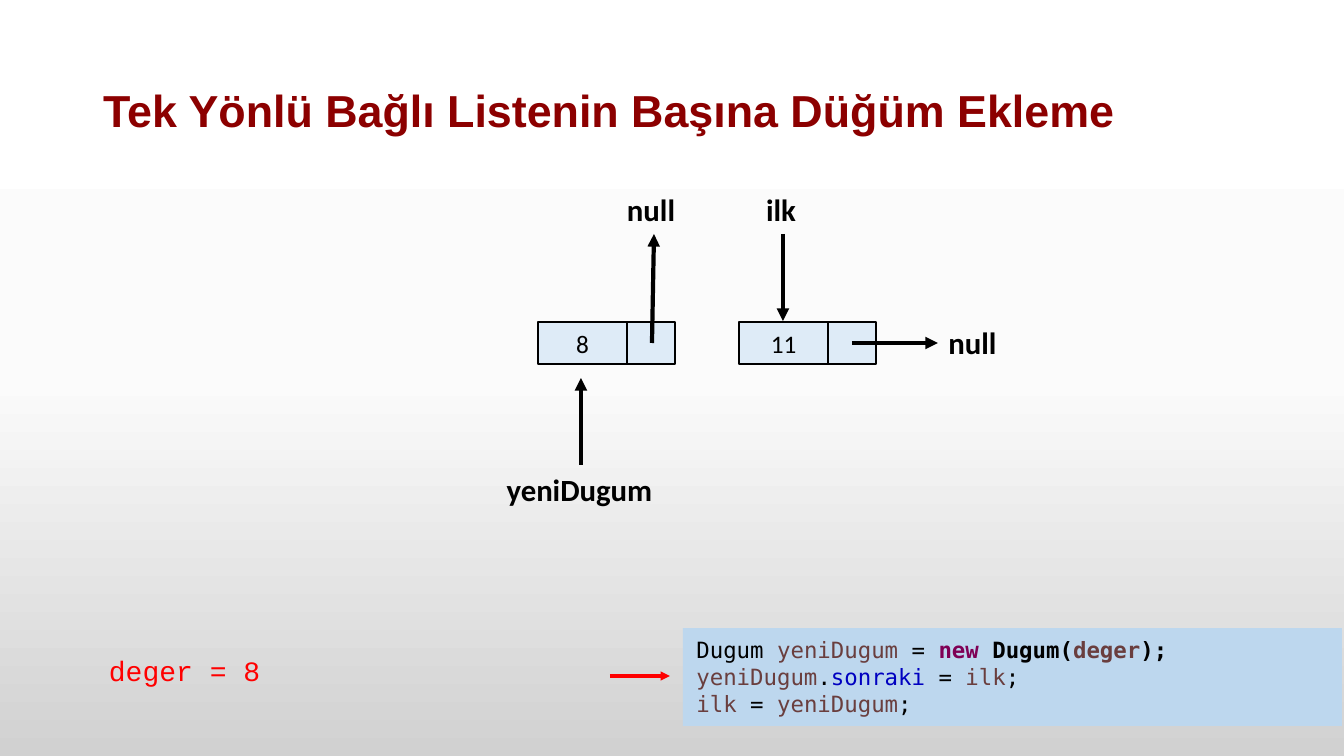
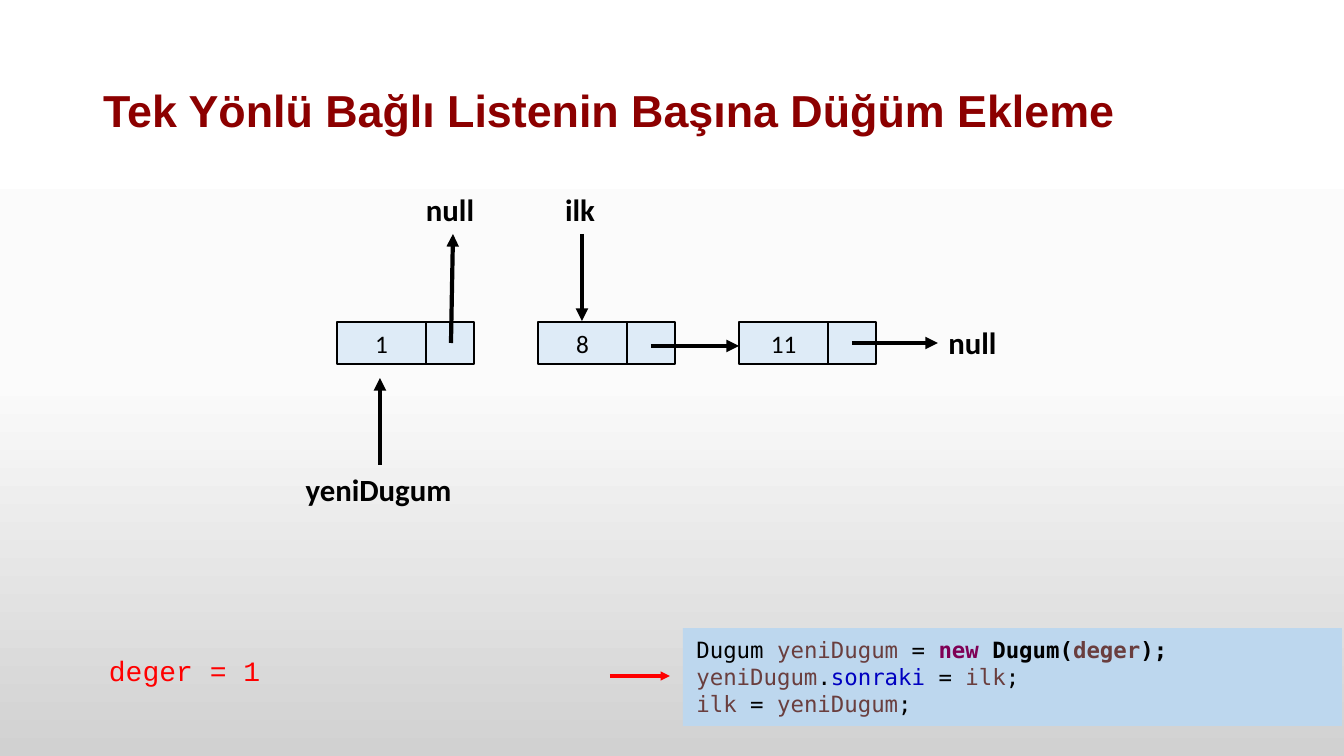
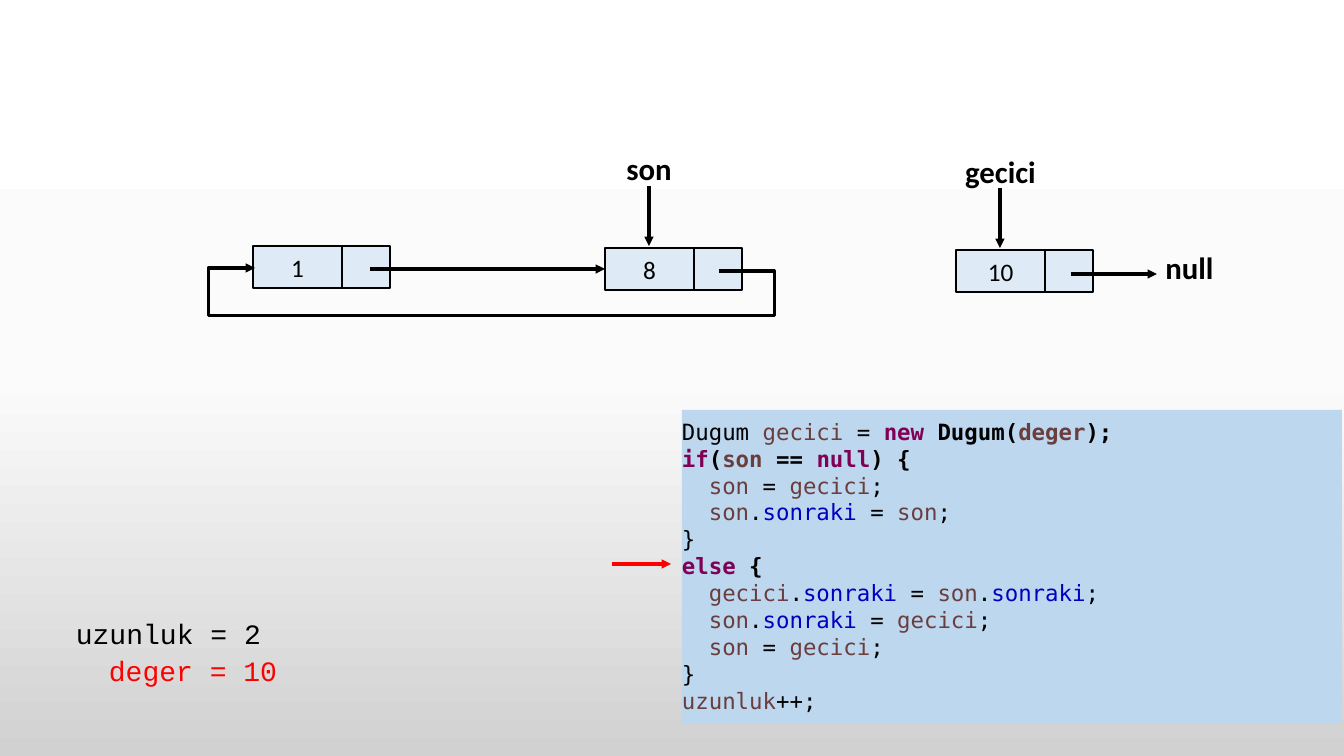
import copy
import itertools

import lxml.etree
import pptx
import pptx.dml.color
import pptx.enum.shapes
import pptx.enum.text
import pptx.oxml.ns
import pptx.util

SCALE = 914400 / 100.8  # EMU in one px
BLACK, RED, MAROON = "000000", "FF0000", "8C0000"
PALE, SKY = "DEEBF7", "BDD7EE"
WORD, FIELD, NAME = "7F0055", "0000C0", "6A3E3E"
TINTS = {"new": WORD, "if": WORD, "else": WORD, "null": WORD,
         "sonraki": FIELD, "Dugum": BLACK}
LABEL = dict(size=22, bold=True, align="CENTER")
VALUE = dict(size=20, font="Courier New", color=RED)
CODE = dict(size=16, font="DejaVu Sans Mono", fill=SKY, code=True)
CELL = dict(fill=PALE, edge=BLACK, anchor="MIDDLE", align="CENTER")

qn = pptx.oxml.ns.qn
hue = pptx.dml.color.RGBColor.from_string


def put(slide, text, spot, size=18, font="Calibri", color=BLACK, bold=False,
        align="LEFT", anchor="TOP", fill=None, edge=None, code=False,
        shape=None, space=None):
    """Write text in a box at spot (left, top, width, height)."""
    area = [int(v * SCALE) for v in spot]
    if shape:
        shape.left, shape.top, shape.width, shape.height = area
    elif fill:
        shape = slide.shapes.add_shape(
            pptx.enum.shapes.MSO_SHAPE.RECTANGLE, *area)
        shape.shadow.inherit = False
        shape.fill.solid()
        shape.fill.fore_color.rgb = hue(fill)
        if edge:
            shape.line.color.rgb = hue(edge)
            shape.line.width = pptx.util.Pt(1)
        else:
            shape.line.fill.background()
    else:
        shape = slide.shapes.add_textbox(*area)
    frame = shape.text_frame
    frame.word_wrap = bool(fill) or shape.is_placeholder
    frame.vertical_anchor = getattr(pptx.enum.text.MSO_ANCHOR, anchor)
    if code:
        frame.margin_left = frame.margin_right = 0
        frame.margin_top = frame.margin_bottom = int(8 * SCALE)
    for i, line in enumerate(text.split("\n")):
        para = frame.add_paragraph() if i else frame.paragraphs[0]
        para.alignment = getattr(pptx.enum.text.PP_ALIGN, align)
        if space:
            para.line_spacing = space
        parts = [line] if line else []
        if code:
            parts = ["".join(g) for _, g in itertools.groupby(line, str.isalpha)]
        heavy = bold
        for part in parts:
            run = para.add_run()
            run.text = part
            tint = color
            if code and part.isalpha():
                tint = TINTS.get(part, NAME)
            # A keyword makes the rest of its code line bold
            heavy = heavy or tint == WORD
            run.font.name = font
            run.font.size = pptx.util.Pt(size)
            run.font.bold = heavy
            run.font.color.rgb = hue(tint)


def link(slide, ends, width, color=BLACK):
    """Draw an arrow along ends (x1, y1, x2, y2)."""
    wire = slide.shapes.add_connector(
        pptx.enum.shapes.MSO_CONNECTOR.STRAIGHT, *[int(v * SCALE) for v in ends])
    wire.line.color.rgb = hue(color)
    wire.line.width = pptx.util.Pt(width)
    props = wire.element.spPr
    lxml.etree.SubElement(props.find(qn("a:ln")), qn("a:tailEnd"), type="triangle")
    lxml.etree.SubElement(props, qn("a:effectLst"))
    return wire


deck = pptx.Presentation()
deck.slide_width = int(1344 * SCALE)
deck.slide_height = int(756 * SCALE)

# Shared background: three grey stops from top to bottom
back = deck.slide_master.background.fill
back.gradient()
back.gradient_angle = 270
stops = deck.slide_master.element.find(".//" + qn("a:gsLst"))
stops.insert(1, copy.deepcopy(stops[0]))
for stop, shade, place in zip(back.gradient_stops,
                              ["FFFFFF", "FBFBFB", "D1D1D1"], [0, 0.5, 1]):
    stop.color.rgb = hue(shade)
    stop.position = place

# Slides 1 and 2: add a node at the head of the list
STEP, LAST, ROW = 201, 739, 322
NODES = ["11", "8", "1"]
HEAD_CODE = """ Dugum yeniDugum = new Dugum(deger);
 yeniDugum.sonraki = ilk;
 ilk = yeniDugum;"""
for count in (1, 2):
    slide = deck.slides.add_slide(deck.slide_layouts[5])
    put(slide, "Tek Yönlü Bağlı Listenin Başına Düğüm Ekleme",
        (93, 40, 1159, 146), shape=slide.shapes.title, size=32, font="Arial",
        color=MAROON, bold=True, anchor="MIDDLE", space=0.9)
    put(slide, HEAD_CODE, (683, 628, 659, 98), **CODE)
    put(slide, "deger = " + NODES[count], (99, 649, 173, 44), **VALUE)
    link(slide, (610, 676, 670, 676), 2.25, RED)

    # Nodes, from the tail of the list to the new one
    for i, text in enumerate(NODES[:count + 1]):
        left = LAST - i * STEP
        put(slide, text, (left, ROW, 89, 42), **CELL)
        put(slide, "", (left + 89, ROW, 48, 42), **CELL)
    for i in range(1, count):
        left = LAST - i * STEP
        link(slide, (left + 113, 346, left + STEP, 346), 3)

    # Labels and pointers, placed from the new node
    new = LAST - count * STEP
    for text, spot in [("null", (938, 319, 69, 47)),
                       ("ilk", (new + 218, 186, 50, 47)),
                       ("yeniDugum", (new - 42, 466, 167, 47)),
                       ("null", (new + 65, 186, 96, 47))]:
        put(slide, text, spot, **LABEL)
    for ends in [(852, 343, 938, 343),
                 (new + 245, 234, new + 245, 321),
                 (new + 43, 465, new + 43, 378),
                 (new + 114, 343, new + 116, 234)]:
        link(slide, ends, 3)

# Slide 3: add a node to a circular list
TAIL_CODE = """Dugum gecici = new Dugum(deger);
if(son == null) {
  son = gecici;
  son.sonraki = son;
}
else {
  gecici.sonraki = son.sonraki;
  son.sonraki = gecici;
  son = gecici;
}
uzunluk++;"""
slide = deck.slides.add_slide(deck.slide_layouts[6])
put(slide, TAIL_CODE, (682, 410, 660, 314), **CODE)
put(slide, "uzunluk = 2", (66, 612, 207, 44), **(VALUE | dict(color=BLACK)))
put(slide, "deger = 10", (99, 649, 190, 44), **VALUE)
link(slide, (612, 564, 671, 564), 2.25, RED)

for text, left, top in [("1", 253, 246), ("8", 605, 248), ("10", 956, 250)]:
    put(slide, text, (left, top, 89, 42), **CELL)
    put(slide, "", (left + 89, top, 48, 42), **CELL)
for text, spot in [("son", (616, 145, 66, 47)),
                   ("gecici", (955, 148, 91, 47)),
                   ("null", (1155, 244, 69, 47))]:
    put(slide, text, spot, **LABEL)
for ends in [(649, 186, 649, 246), (1000, 188, 1000, 248),
             (370, 269, 605, 269), (1071, 274, 1157, 274)]:
    link(slide, ends, 2.25)

# Loop from the last node back to the first, turned half round
x1, y1, x2, y2 = 255, 268, 719, 271
east, west, south = 774, 208, 315
loop = link(slide, (x1, y1, x2, y2), 2.25)
loop.element.spPr.find(qn("a:xfrm")).set("rot", "10800000")
geom = loop.element.spPr.find(qn("a:prstGeom"))
geom.set("prst", "bentConnector5")
guides = geom.find(qn("a:avLst"))
if guides is None:
    guides = lxml.etree.SubElement(geom, qn("a:avLst"))
bends = [(x2 - east) / (x2 - x1), (y2 - south) / (y2 - y1),
         (x2 - west) / (x2 - x1)]
for i, bend in enumerate(bends, 1):
    lxml.etree.SubElement(guides, qn("a:gd"), name=f"adj{i}",
                          fmla=f"val {round(bend * 100000)}")

deck.save("out.pptx")
